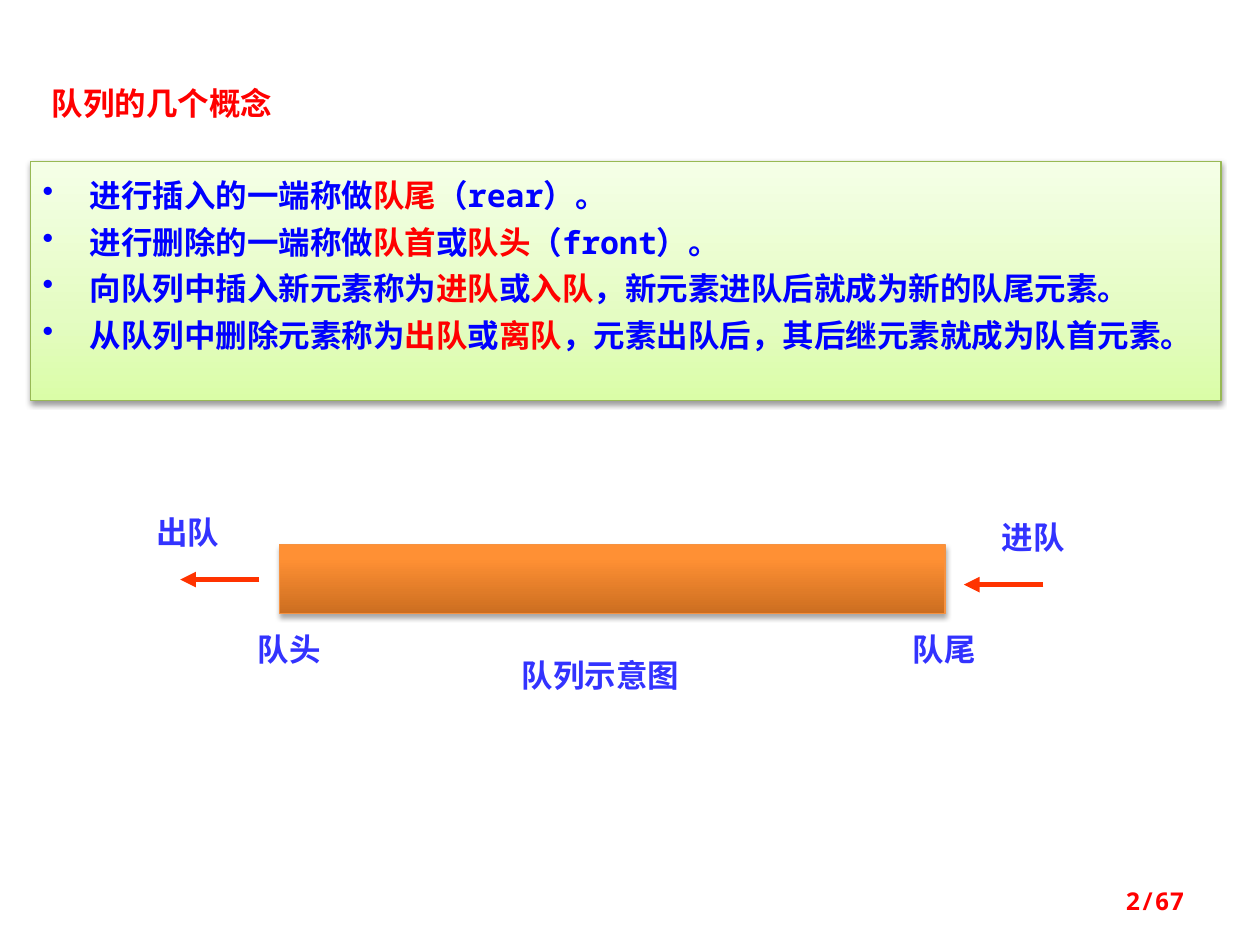
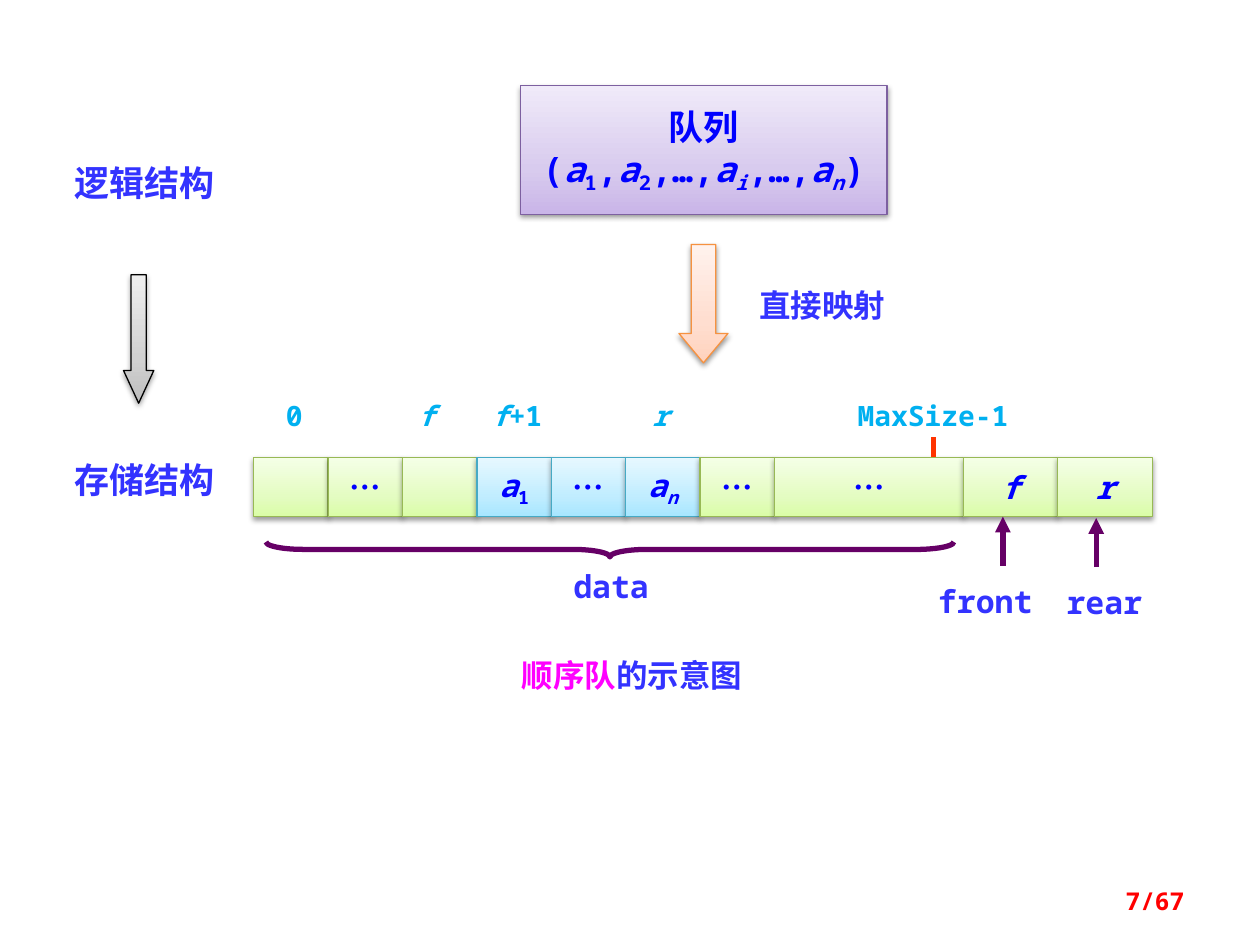
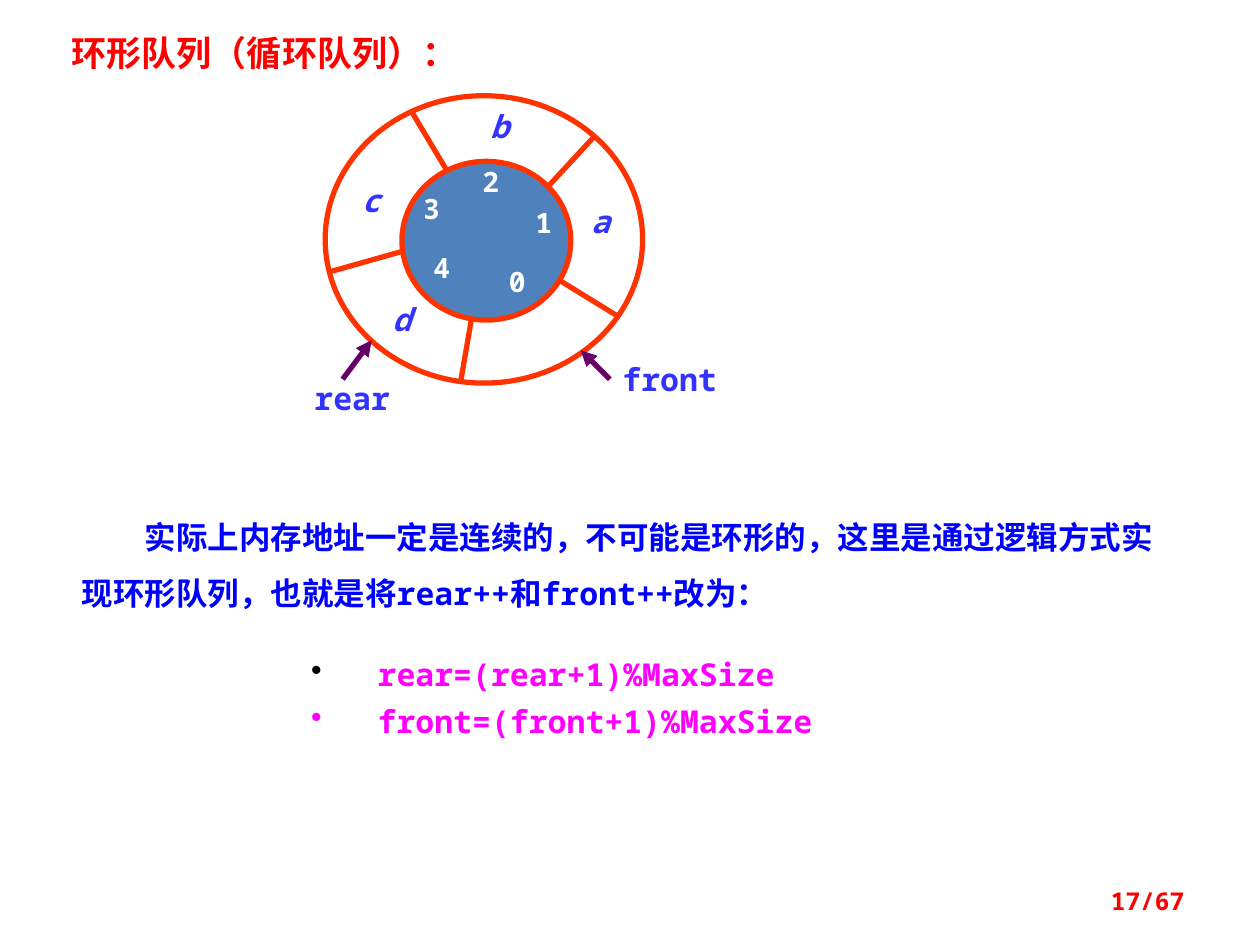
from lxml import etree
from pptx import Presentation
from pptx.dml.color import RGBColor
from pptx.enum import shapes, text
from pptx.oxml import parse_xml
from pptx.oxml.ns import nsdecls, qn
from pptx.util import Pt

RED = RGBColor(0xFF, 0x00, 0x00)
BLUE = RGBColor(0x00, 0x00, 0xFF)
INDIGO = RGBColor(0x33, 0x33, 0xFF)
SKY = RGBColor(0x00, 0xB0, 0xF0)
MAGENTA = RGBColor(0xFF, 0x00, 0xFF)
ORANGE = RGBColor(0xFF, 0x33, 0x00)
PLUM = RGBColor(0x66, 0x00, 0x66)
STEEL = RGBColor(0x4F, 0x81, 0xBD)
WHITE = RGBColor(0xFF, 0xFF, 0xFF)
BLACK = RGBColor(0x00, 0x00, 0x00)
AMBER_EDGE = RGBColor(0xF6, 0x92, 0x40)

MONO, CJK = "Noto Sans Mono", "Noto Sans CJK SC"
LEFT, CENTER, RIGHT = text.PP_ALIGN.LEFT, text.PP_ALIGN.CENTER, text.PP_ALIGN.RIGHT
SHAPE = shapes.MSO_SHAPE

SOFT, DEEP = (38, 1.6), (35, 1.8)
GREEN = (((0, "DAFDA7"), (35, "E4FCC2"), (100, "F5FFE7")), RGBColor(0x98, 0xB9, 0x55), SOFT)
CYAN = (((0, "A7E6FF"), (35, "C1EDFF"), (100, "E7F8FF")), RGBColor(0x46, 0xAA, 0xC5), SOFT)
PURPLE = (((0, "C9B5E8"), (35, "D8CBEE"), (100, "F0EAF9")), RGBColor(0x7D, 0x60, 0xA0), SOFT)
PEACH = (((0, "FFD2BD"), (35, "FFDED0"), (100, "FFF2ED")), AMBER_EDGE, SOFT)
GRAY = (((0, "BDBDBD"), (35, "D1D1D1"), (100, "EEEEEE")), BLACK, SOFT)
AMBER = (((0, "CC6E20"), (80, "FF9034"), (100, "FF9136")), AMBER_EDGE, DEEP)

KEY = {"color": RED}
PINK = {"color": MAGENTA}
ITALIC = {"italic": True}
SUB = {"baseline": -25}
ITALIC_SUB = ITALIC | SUB

CONCEPT_TITLE = ("队列的几个概念", (22.3, 44.6, 180, 28.8), {"size": 18, "name": CJK})
CONCEPTS = [
    ["进行插入的一端称做", ("队尾", KEY), "（rear）。"],
    ["进行删除的一端称做", ("队首", KEY), "或", ("队头", KEY), "（front）。"],
    ["向队列中插入新元素称为", ("进队", KEY), "或", ("入队", KEY), "，新元素进队后就成为新的队尾元素。"],
    ["从队列中删除元素称为", ("出队", KEY), "或", ("离队", KEY),
     "，元素出队后，其后继元素就成为队首元素。"],
]
QUEUE_LABELS = [
    (["队尾"], 505.4, 356.4, 68.4), (["队头"], 131, 356.4, 68.4),
    (["队列示意图"], 264.2, 371.5, 157.7),
    (["出队"], 73.4, 289.4, 67.7), (["进队"], 556.6, 292.3, 67.7),
]
QUEUE_MOVES = [((148.3, 331.2), (103, 331.2)), ((596.2, 334.1), (550.8, 334.1))]

LOGICAL_QUEUE = [
    ["队列"],
    ["(", ("a", ITALIC), ("1", SUB), ",", ("a", ITALIC), ("2", SUB), ",…,",
     ("a", ITALIC), ("i", ITALIC_SUB), ",…,", ("a", ITALIC), ("n", ITALIC_SUB), ")"],
]
DOTS = [("…", {"name": CJK})]
CELLS = [
    ([], 42.5, GREEN), (DOTS, 42.5, GREEN), ([], 42.5, GREEN),
    ([("a", ITALIC), ("1", SUB)], 42.5, CYAN), (DOTS, 42.5, CYAN),
    ([("a", ITALIC), ("n", ITALIC_SUB)], 42.5, CYAN), (DOTS, 42.5, GREEN),
    (DOTS, 108, GREEN), ([("f", ITALIC)], 54, GREEN), ([("r", ITALIC)], 54, GREEN),
]
ROW_LEFT, ROW_TOP, ROW_HEIGHT = 145, 261.4, 33.8
INDEXES = [
    (["0"], 148.3, 39.6), ([("f", ITALIC)], 223.9, 39.6), ([("f", ITALIC), "+1"], 267, 57),
    ([("r", ITALIC)], 352, 51), (["MaxSize-1"], 473.8, 118.8),
]
STRUCTURES = [(["逻辑结构"], 14.4, 88.6, 136), (["存储结构"], 14.4, 258.5, 136)]
STORAGE_LABELS = [
    (["直接映射"], 416, 159.8, 108), (["data"], 309.6, 320.4, 79.2),
    (["front"], 523.4, 329, 79.2), (["rear"], 599.8, 329.8, 62.6),
    ([("顺序队", PINK), "的示意图"], 270, 371.5, 182.2),
]
STORAGE_POINTERS = [((573.1, 323.3), (573.1, 295.2)), ((626.4, 324), (626.4, 296))]

RING_TITLE = ("环形队列（循环队列）：", (33.8, 14.4, 289.4, 31.7), {"size": 20, "name": MONO})
RINGS = [((229.7, 92.2, 96.5, 90.7), STEEL), ((185.8, 54.7, 181.4, 164.2), None)]
SPOKES = [
    ((320.4, 160.6), (354.2, 181.4)), ((313.9, 105.8), (339.8, 77.8)),
    ((235.4, 64.1), (255.6, 97.9)), ((269.3, 182.9), (263.5, 216.7)),
    ((187.9, 155.5), (231.1, 143.3)),
]
SLOTS = [("0", 284.4, 151.2), ("1", 299.5, 117.4), ("2", 269.3, 94.3),
         ("3", 235.4, 109.4), ("4", 241.2, 143.3)]
ELEMENTS = [("a", 331.9, 115.2), ("b", 274.3, 61.2), ("c", 200.9, 103.7), ("d", 218.2, 171.4)]
ENDS = [("front", 354.2, 205.9), ("rear", 172.8, 216.7)]
RING_POINTERS = [((348.5, 216.7), (331.9, 200.2)), ((195.8, 216.7), (212.4, 194.4))]
NOTE = ["实际上内存地址一定是连续的，不可能是环形的，这里是通过逻辑方式实现环形队列，"
        "也就是将rear++和front++改为："]
FORMULAS = [["rear=(rear+1)%MaxSize"], ["front=(front+1)%MaxSize"]]


def points(values):
    """Turn plain numbers into point lengths."""
    return [Pt(value) for value in values]


def write(frame, paragraphs, size=18, color=INDIGO, name=MONO, align=CENTER, inset=(7.2, 3.6),
          anchor=text.MSO_ANCHOR.TOP, wrap=True, bullets=(), margin=0, indent=0, spacing=None):
    """Fill a text frame with paragraphs of plain or styled runs."""
    layout = {"auto_size": text.MSO_AUTO_SIZE.NONE, "word_wrap": wrap, "vertical_anchor": anchor,
              "margin_left": Pt(inset[0]), "margin_right": Pt(min(inset[0], 7.2)),
              "margin_top": Pt(inset[1]), "margin_bottom": Pt(inset[1])}
    for key, value in layout.items():
        setattr(frame, key, value)
    for number, runs in enumerate(paragraphs):
        paragraph = frame.add_paragraph() if number else frame.paragraphs[0]
        props = paragraph._p.get_or_add_pPr()
        props.set("marL", str(Pt(margin)))
        props.set("indent", str(Pt(indent)))
        if bullets:
            tint = etree.SubElement(props, qn("a:buClr"))
            etree.SubElement(tint, qn("a:srgbClr")).set("val", str(bullets[number]))
            etree.SubElement(props, qn("a:buChar")).set("char", "•")
        paragraph.alignment = align
        if number and bullets:
            paragraph.space_before = Pt(5)
        if spacing:
            paragraph.line_spacing = spacing
        for entry in runs:
            words, changes = (entry, {}) if isinstance(entry, str) else entry
            style = {"size": Pt(size), "bold": True, "italic": False, "name": name} | changes
            tone, baseline = style.pop("color", color), style.pop("baseline", 0)
            run = paragraph.add_run()
            run.text = words
            run.font.color.rgb = tone
            for key, value in style.items():
                setattr(run.font, key, value)
            run_props = run._r.get_or_add_rPr()
            if baseline:
                run_props.set("baseline", str(baseline * 1000))
            etree.SubElement(run_props, qn("a:ea")).set("typeface", CJK)


def label(slide, runs, left, top, width, height=None, size=18, **style):
    """Add a text box whose height follows its text size."""
    box = slide.shapes.add_textbox(*points((left, top, width, height or size * 1.6)))
    write(box.text_frame, [runs], size=size, **style)


def outline(slide, kind, place, fill=None, edge=None):
    """Add a flat shape with an optional fill and a thick edge."""
    shape = slide.shapes.add_shape(kind, *points(place))
    shape.shadow.inherit = False
    if fill is None:
        shape.fill.background()
    else:
        shape.fill.solid()
        shape.fill.fore_color.rgb = fill
    if edge is None:
        shape.line.fill.background()
    else:
        shape.line.color.rgb = edge
        shape.line.width = Pt(3)
    return shape


def glossy(slide, kind, place, look):
    """Add a shape with a vertical gradient and a soft shadow."""
    stops, edge, (opacity, distance) = look
    shape = slide.shapes.add_shape(kind, *points(place))
    shape.line.color.rgb = edge
    shape.line.width = Pt(0.75)
    marks = "".join(f'<a:gs pos="{at * 1000}"><a:srgbClr val="{tone}"/></a:gs>' for at, tone in stops)
    gradient = parse_xml(f'<a:gradFill {nsdecls("a")} rotWithShape="1"><a:gsLst>{marks}</a:gsLst>'
                         '<a:lin ang="16200000" scaled="0"/></a:gradFill>')
    shadow = parse_xml(f'<a:effectLst {nsdecls("a")}><a:outerShdw blurRad="{Pt(3.1)}" '
                       f'dist="{Pt(distance)}" dir="5400000" rotWithShape="0"><a:srgbClr val="000000">'
                       f'<a:alpha val="{opacity * 1000}"/></a:srgbClr></a:outerShdw></a:effectLst>')
    shape._element.spPr.find(qn("a:ln")).addprevious(gradient)
    shape._element.spPr.append(shadow)
    return shape


def stroke(slide, start, end, color=ORANGE, arrow=False):
    """Draw a thick straight line, with an arrowhead on request."""
    line = slide.shapes.add_connector(shapes.MSO_CONNECTOR.STRAIGHT, *points(start + end))
    line.line.color.rgb = color
    line.line.width = Pt(3)
    if arrow:
        etree.SubElement(line.line._get_or_add_ln(), qn("a:tailEnd")).set("type", "triangle")
    etree.SubElement(line._element.spPr, qn("a:effectLst"))


def new_slide(deck, page, title=None):
    """Add a slide with its page number and optional title."""
    slide = deck.slides.add_slide(deck.slide_layouts[5 if title else 6])
    if title:
        words, place, style = title
        heading = slide.shapes.title
        heading.left, heading.top, heading.width, heading.height = points(place)
        write(heading.text_frame, [[words]], color=RED, align=LEFT, **style)
    label(slide, [f"{page}/67"], 516.2, 500.4, 167.8, 28.8, size=14, color=RED, align=RIGHT,
          anchor=text.MSO_ANCHOR.MIDDLE)
    return slide


def concepts(deck):
    """Build the slide that names the parts of a queue."""
    slide = new_slide(deck, 2, CONCEPT_TITLE)
    panel = glossy(slide, SHAPE.RECTANGLE, (17.3, 92.2, 680.4, 136.8), GREEN)
    write(panel.text_frame, CONCEPTS, color=BLUE, align=LEFT, inset=(7.2, 8.6),
          bullets=[BLUE] * len(CONCEPTS), margin=27, indent=-27)
    glossy(slide, SHAPE.RECTANGLE, (159.8, 311, 380.2, 39.6), AMBER)
    for entry in QUEUE_LABELS:
        label(slide, *entry)
    for start, end in QUEUE_MOVES:
        stroke(slide, start, end, arrow=True)


def storage(deck):
    """Build the slide that maps a queue onto an array."""
    slide = new_slide(deck, 7)
    centred = {"color": BLUE, "anchor": text.MSO_ANCHOR.MIDDLE, "wrap": False}
    queue = glossy(slide, SHAPE.RECTANGLE, (297.4, 49, 209.5, 73.4), PURPLE)
    write(queue.text_frame, LOGICAL_QUEUE, size=20, **centred)
    for place, look, head in (((388, 139.7, 28, 67.7), PEACH, 0.6),
                              ((70.6, 157, 17.3, 73.4), GRAY, 1.08)):
        mapping = glossy(slide, SHAPE.DOWN_ARROW, place, look)
        mapping.adjustments[1] = head
    left = ROW_LEFT
    for content, width, look in CELLS:
        cell = glossy(slide, SHAPE.RECTANGLE, (left, ROW_TOP, width, ROW_HEIGHT), look)
        if content:
            write(cell.text_frame, [content], **centred)
        left += width
    for runs, start, width in INDEXES:
        label(slide, runs, start, 224, width, size=16, color=SKY)
    stroke(slide, (533.5, 249.8), (533.5, ROW_TOP))
    brace = outline(slide, SHAPE.RIGHT_BRACE, (344.2, 117.4, 8.6, 393.1), edge=PLUM)
    brace.rotation = 90
    brace.adjustments[0] = 2.49
    for entry in STORAGE_LABELS:
        label(slide, *entry)
    for entry in STRUCTURES:
        label(slide, *entry, size=20)
    for start, end in STORAGE_POINTERS:
        stroke(slide, start, end, PLUM, arrow=True)


def ring(deck):
    """Build the slide on the circular queue."""
    slide = new_slide(deck, 17, RING_TITLE)
    for place, fill in RINGS:
        outline(slide, SHAPE.OVAL, place, fill, ORANGE)
    for start, end in SPOKES:
        stroke(slide, start, end)
    for start, end in RING_POINTERS:
        stroke(slide, start, end, PLUM, arrow=True)
    for words, left, top in SLOTS:
        label(slide, [words], left, top, 22.3, 19.4, size=16, color=WHITE, inset=(0, 0))
    for words, left, top in ELEMENTS:
        label(slide, [(words, ITALIC)], left, top, 22.3, 21.6, inset=(0, 0))
    for words, left, top in ENDS:
        label(slide, [words], left, top, 56.9, 21.6, inset=(0, 0))
    label(slide, NOTE, 39.6, 281.5, 626.4, 69, color=BLUE, align=LEFT, indent=36, spacing=1.5)
    formulas = outline(slide, SHAPE.RECTANGLE, (163.4, 365.8, 326.2, 72), WHITE)
    write(formulas.text_frame, FORMULAS, color=MAGENTA, align=LEFT, inset=(14.4, 8.6),
          bullets=[BLACK, MAGENTA], margin=38, indent=-38)


def main():
    """Build and save the deck."""
    deck = Presentation()
    deck.slide_width, deck.slide_height = Pt(720), Pt(540)
    for build in (concepts, storage, ring):
        build(deck)
    deck.save("out.pptx")


if __name__ == "__main__":
    main()
